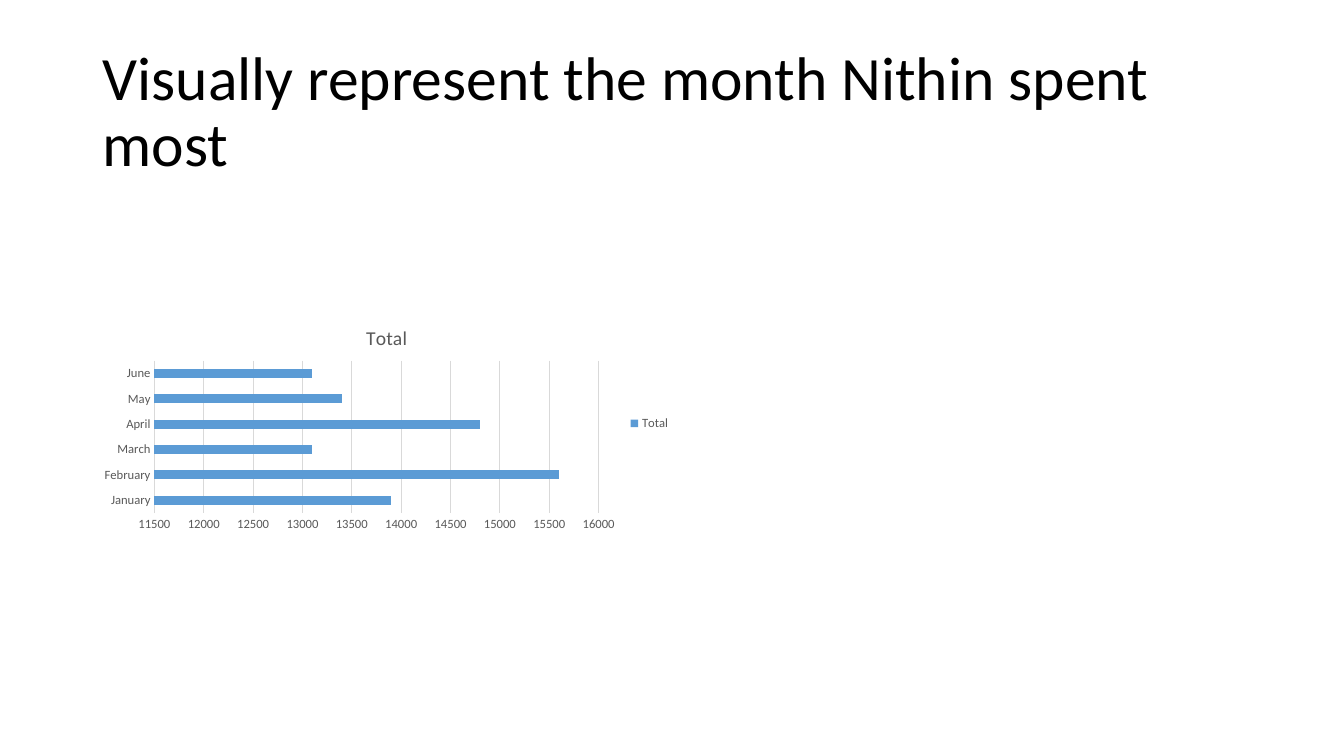
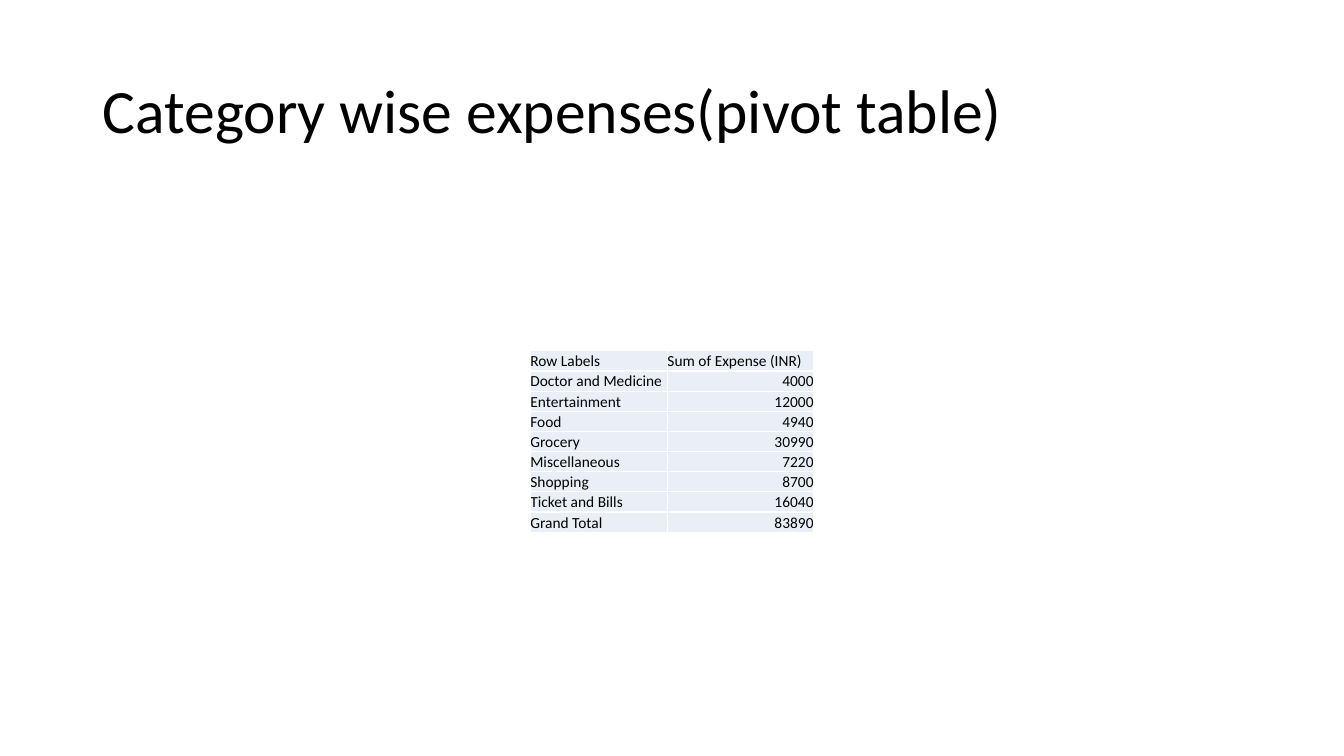
from lxml.etree import SubElement
from pptx import Presentation
from pptx.chart.data import CategoryChartData
from pptx.dml.color import RGBColor
from pptx.enum.chart import XL_CHART_TYPE as CHART, XL_LEGEND_POSITION as LEGEND, XL_TICK_MARK as TICK
from pptx.enum.text import MSO_ANCHOR as ANCHOR, PP_ALIGN as ALIGN
from pptx.oxml.ns import qn
from pptx.util import Inches, Pt

COLORS = {"text": "000000", "muted": "595959", "rule": "D9D9D9",
          "bar": "5B9BD5", "cell": "EAEFF7", "border": "FFFFFF"}


class Deck:
    """Shared style and the current slide."""
    font = "Calibri"

    def __init__(self):
        self.prs = Presentation()
        self.prs.slide_width, self.prs.slide_height = Inches(13.33), Inches(7.5)
        self.s = None

    def color(self, name):
        return RGBColor.from_string(COLORS[name])

    def style(self, font, size, color="text"):
        font.name, font.size, font.bold = self.font, Pt(size), False
        font.color.rgb = self.color(color)

    def rule(self, line):
        line.color.rgb = self.color("rule")
        line.width = Pt(0.75)

    def slide(self, title):
        self.s = self.prs.slides.add_slide(self.prs.slide_layouts[6])
        sp = self.s.shapes.add_textbox(Inches(0.92), Inches(0.4), Inches(11.5), Inches(1.45))
        tf = sp.text_frame
        tf.word_wrap = True
        tf.vertical_anchor = ANCHOR.MIDDLE
        tf.text = title
        p = tf.paragraphs[0]
        p.line_spacing = 0.9
        self.style(p.runs[0].font, 44)

    def bar_chart(self, name, values, low, high, step, left, top, width, height):
        data = CategoryChartData()
        data.categories = list(values)
        data.add_series(name, list(values.values()))
        chart = self.s.shapes.add_chart(CHART.BAR_CLUSTERED, Inches(left), Inches(top),
                                        Inches(width), Inches(height), data).chart
        self.style(chart.font, 10)

        # Title and legend
        tf = chart.chart_title.text_frame
        tf.text = name
        self.style(tf.paragraphs[0].runs[0].font, 14, "muted")
        chart.has_legend = True
        chart.legend.position = LEGEND.RIGHT
        chart.legend.include_in_layout = False
        self.style(chart.legend.font, 9, "muted")

        # Axes
        cat, val = chart.category_axis, chart.value_axis
        for axis in (cat, val):
            axis.major_tick_mark = axis.minor_tick_mark = TICK.NONE
            self.style(axis.tick_labels.font, 9, "muted")
        self.rule(cat.format.line)
        val.format.line.fill.background()
        val.has_major_gridlines = True
        self.rule(val.major_gridlines.format.line)
        val.minimum_scale, val.maximum_scale, val.major_unit = low, high, step

        # Bars
        plot = chart.plots[0]
        plot.gap_width = 182
        plot.vary_by_categories = False
        fill = plot.series[0].format.fill
        fill.solid()
        fill.fore_color.rgb = self.color("bar")

    def borders(self, cell):
        tc_pr = cell._tc.get_or_add_tcPr()
        for side in ("lnL", "lnR", "lnT", "lnB"):
            ln = SubElement(tc_pr, qn(f"a:{side}"), w=str(Pt(1)))
            fill = SubElement(ln, qn("a:solidFill"))
            SubElement(fill, qn("a:srgbClr"), val=COLORS["border"])

    def table(self, rows, left, top, col_widths, row_height):
        table = self.s.shapes.add_table(len(rows), len(col_widths), Inches(left), Inches(top),
                                        Inches(sum(col_widths)),
                                        Inches(row_height * len(rows))).table
        table.first_row = table.horz_banding = False
        for col, width in zip(table.columns, col_widths):
            col.width = Inches(width)
        for i, row in enumerate(rows):
            table.rows[i].height = Inches(row_height)
            for j, value in enumerate(row):
                self.cell(table.cell(i, j), value)

    def cell(self, cell, value):
        cell.margin_left = cell.margin_right = cell.margin_top = cell.margin_bottom = 0
        cell.vertical_anchor = ANCHOR.BOTTOM
        self.borders(cell)
        cell.fill.solid()
        cell.fill.fore_color.rgb = self.color("cell")
        cell.text_frame.text = str(value)
        p = cell.text_frame.paragraphs[0]
        p.alignment = ALIGN.RIGHT if isinstance(value, int) else ALIGN.LEFT
        self.style(p.runs[0].font, 11)


def main():
    deck = Deck()

    # Spending by month
    deck.slide("Visually represent the month Nithin spent most")
    months = {"January": 13900, "February": 15600, "March": 13100,
              "April": 14800, "May": 13400, "June": 13100}
    deck.bar_chart("Total", months, 11500, 16000, 500, 0.92, 3.08, 5.83, 2.24)

    # Spending by category
    deck.slide("Category wise expenses(pivot table)")
    expenses = [("Doctor and Medicine", 4000), ("Entertainment", 12000), ("Food", 4940),
                ("Grocery", 30990), ("Miscellaneous", 7220), ("Shopping", 8700),
                ("Ticket and Bills", 16040)]
    total = sum(amount for _, amount in expenses)
    rows = [("Row Labels", "Sum of Expense (INR)"), *expenses, ("Grand Total", total)]
    deck.table(rows, 5.26, 3.48, (1.36, 1.45), 0.2)

    deck.prs.save("out.pptx")


if __name__ == "__main__":
    main()
